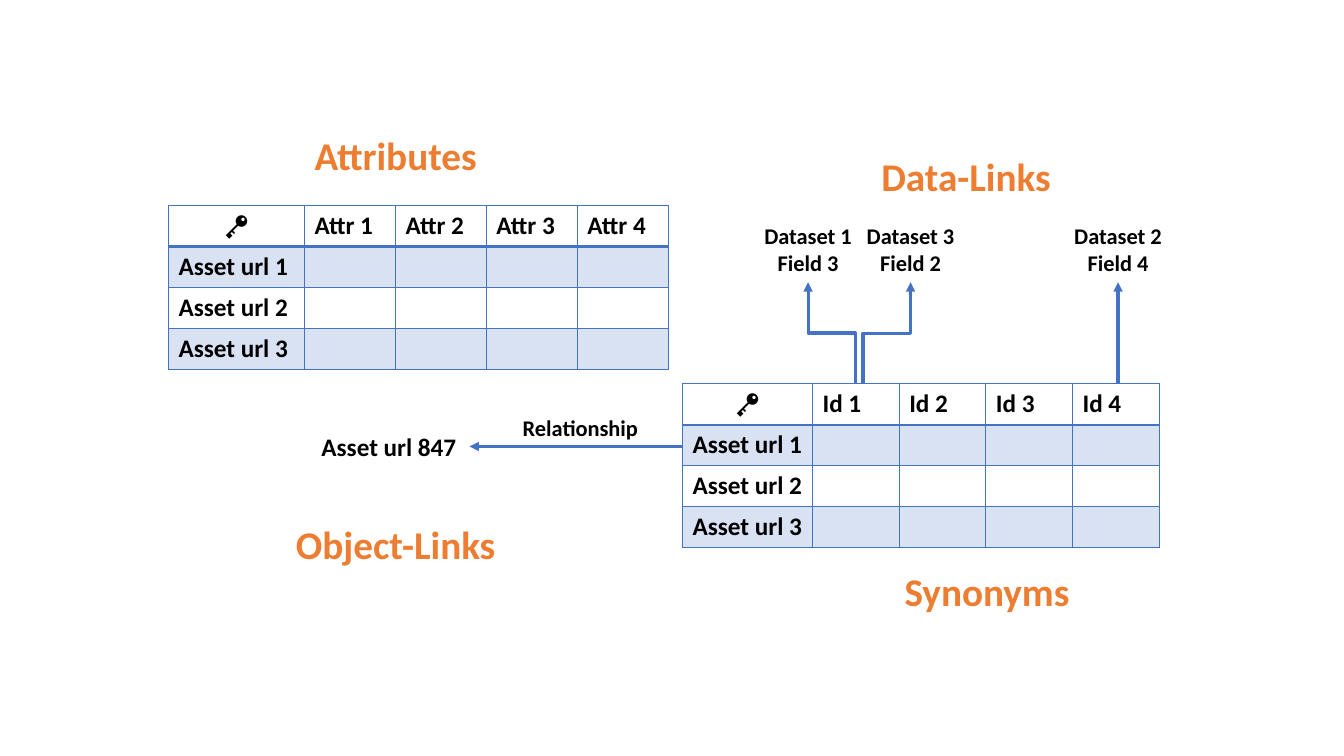
from dataclasses import dataclass

from pptx import Presentation
from pptx.dml.color import RGBColor
from pptx.enum.shapes import MSO_CONNECTOR
from pptx.enum.text import MSO_ANCHOR, PP_ALIGN
from pptx.oxml.ns import qn
from pptx.util import Inches, Pt
from lxml import etree

LINE, ELBOW = MSO_CONNECTOR.STRAIGHT, MSO_CONNECTOR.ELBOW
LEFT, MID = PP_ALIGN.LEFT, PP_ALIGN.CENTER
TOP = MSO_ANCHOR.TOP
WIDE, HIGH = Inches(13.33), Inches(7.5)
COLS, ROWS = 160, 90
PLAIN = "{2D5ABB26-0587-4C30-8999-92F81FD0307C}"
KEY = "\U0001F511"


@dataclass(frozen=True)
class Theme:
    font: str = "Calibri"
    ink: str = "000000"
    blue: str = "4472C4"
    orange: str = "ED7D31"
    tint: int = 20
    head: int = 28
    body: int = 18
    note: int = 16
    thin: float = 1
    rule: float = 2
    link: float = 2.25


THEME = Theme()


def col(n):
    return round(WIDE * n / COLS)


def row(n):
    return round(HIGH * n / ROWS)


def sub(node, tag, **attrs):
    return etree.SubElement(node, qn(tag), attrs)


def write(para, text, size, color=THEME.ink, bold=True, align=MID):
    para.alignment = align
    run = para.add_run()
    run.text = text
    font = run.font
    font.name, font.size, font.bold = THEME.font, Pt(size), bold
    font.color.rgb = RGBColor.from_string(color)


def label(slide, mid, top, wide, high, lines, size, color=THEME.ink):
    box = slide.shapes.add_textbox(
        col(mid - wide / 2), row(top), col(wide), row(high))
    frame = box.text_frame
    frame.word_wrap = True
    frame.vertical_anchor = TOP
    for i, text in enumerate(lines):
        para = frame.add_paragraph() if i else frame.paragraphs[0]
        write(para, text, size, color)


def title(slide, mid, top, text):
    label(slide, mid, top, 41, 6.84, [text], THEME.head, THEME.orange)


def arrow(slide, kind, x1, y1, x2, y2):
    link = slide.shapes.add_connector(kind, x1, y1, x2, y2)
    link.line.color.rgb = RGBColor.from_string(THEME.blue)
    link.line.width = Pt(THEME.link)
    sub(link.line._get_or_add_ln(), "a:tailEnd", type="triangle")
    sub(link._element.spPr, "a:effectLst")
    return link


def rise(slide, foot, tip, low, high):
    x1, x2, y1, y2 = col(foot), col(tip), row(low), row(high)
    if x1 == x2:
        arrow(slide, LINE, x1, y1, x2, y2)
        return
    mid_x, mid_y = (x1 + x2) // 2, (y1 + y2) // 2
    run, step = (y1 - y2) // 2, (x2 - x1) // 2
    link = arrow(slide, ELBOW, mid_x - run, mid_y - step,
                 mid_x + run, mid_y + step)
    link._element.spPr.find(qn("a:xfrm")).set("rot", str(270 * 60000))


def border(cell, side, width):
    line = sub(cell._tc.get_or_add_tcPr(), "a:ln" + side, w=str(Pt(width)))
    sub(sub(line, "a:solidFill"), "a:srgbClr", val=THEME.blue)


def shade(cell, band):
    if not band:
        cell.fill.background()
        return
    cell.fill.solid()
    cell.fill.fore_color.rgb = RGBColor.from_string(THEME.blue)
    tone = cell._tc.tcPr.find(qn("a:solidFill")).find(qn("a:srgbClr"))
    sub(tone, "a:alpha", val=str(THEME.tint * 1000))


def grid(slide, left, top, first, rest, high, name):
    heads = [KEY] + [f"{name} {n}" for n in range(1, 5)]
    rows = [heads] + [[f"Asset url {n}"] + [""] * 4 for n in range(1, 4)]
    wide = first + rest * 4
    frame = slide.shapes.add_table(
        len(rows), len(heads), col(left), row(top),
        col(wide), row(high * len(rows)))
    table = frame.table
    table.first_row = table.horz_banding = False
    table._tbl.tblPr.find(qn("a:tableStyleId")).text = PLAIN
    for i, part in enumerate(table.columns):
        part.width = col(rest if i else first)
    for r, texts in enumerate(rows):
        table.rows[r].height = row(high)
        for c, text in enumerate(texts):
            cell = table.cell(r, c)
            for side in "LRTB":
                heavy = (r, side) in ((0, "B"), (1, "T"))
                border(cell, side, THEME.rule if heavy else THEME.thin)
            shade(cell, r % 2)
            if text:
                is_key = text == KEY
                write(cell.text_frame.paragraphs[0], text, THEME.body,
                      bold=not is_key, align=MID if is_key else LEFT)


def main():
    deck = Presentation()
    deck.slide_width, deck.slide_height = WIDE, HIGH
    slide = deck.slides.add_slide(deck.slide_layouts[6])

    edge, base = 81.25, 45.7
    grid(slide, edge, base, 15.48, 10.32, 4.86, "Id")
    grid(slide, 20.05, 24.5, 16.2, 10.83, 4.86, "Attr")

    for foot, tip, data, field in (
            (102.75, 108.4, 3, 2), (101.8, 96.2, 1, 3), (133.1, 133.1, 2, 4)):
        rise(slide, foot, tip, base, 33.6)
        label(slide, tip, 25.9, 13.4, 7.7,
              [f"Dataset {data}", f"Field {field}"], THEME.note)

    level = 53.15
    arrow(slide, LINE, col(edge), row(level), col(55.9), row(level))
    label(slide, 69.1, 48.7, 17.4, 4.4, ["Relationship"], THEME.note)
    label(slide, 46.3, 50.8, 20.9, 4.8, ["Asset url 847"], THEME.body)

    for mid, top, text in (
            (47.1, 15.1, "Attributes"), (117.5, 67, "Synonyms"),
            (115, 17.5, "Data-Links"), (47.1, 61.4, "Object-Links")):
        title(slide, mid, top, text)

    deck.save("out.pptx")


main()
